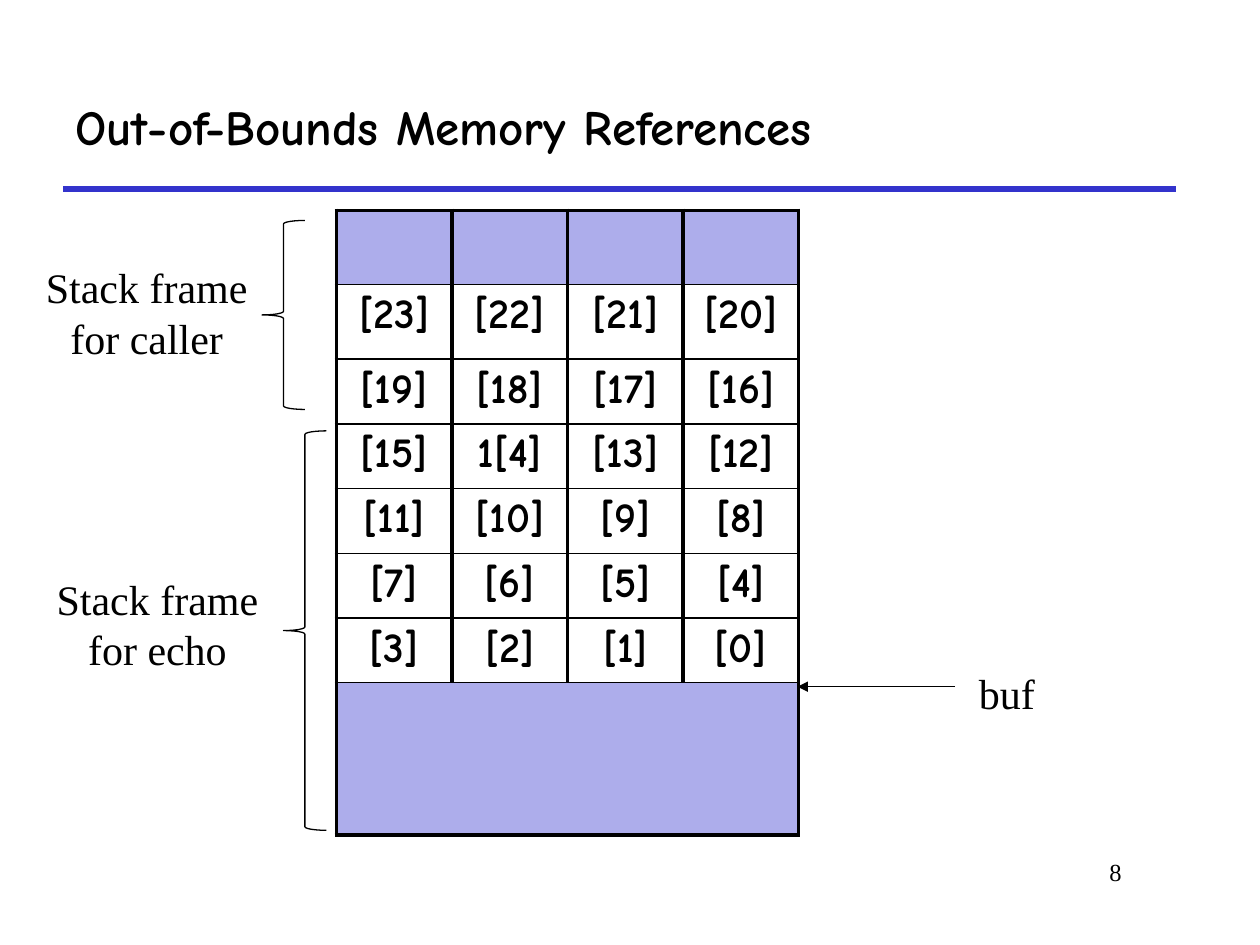
"""Build a slide showing stack memory around an echo buffer."""
from lxml.etree import SubElement
from pptx import Presentation
from pptx.dml.color import RGBColor
from pptx.enum.shapes import MSO_CONNECTOR, MSO_SHAPE
from pptx.enum.text import MSO_ANCHOR, PP_ALIGN
from pptx.oxml.ns import qn
from pptx.util import Inches, Pt

BLACK = RGBColor(0x00, 0x00, 0x00)
WHITE = RGBColor(0xFF, 0xFF, 0xFF)
RULE_BLUE = RGBColor(0x33, 0x33, 0xCC)
LAVENDER = RGBColor(0xAD, 0xAD, 0xEB)

TITLE_FONT = {"name": "Comic Neue", "size": Pt(28), "bold": True}
CELL_FONT = {"name": "Comic Neue", "size": Pt(24), "bold": True}
LABEL_FONT = {"name": "Times New Roman", "size": Pt(24)}
NUMBER_FONT = {"name": "Times New Roman", "size": Pt(14)}

TEXTS = [
    (["Out-of-Bounds Memory References"], (0.5, 0.5, 9.08, 1), TITLE_FONT, PP_ALIGN.LEFT, MSO_ANCHOR.MIDDLE),
    (["Stack frame", "for caller"], (0.25, 2.03, 1.83, 0.99), LABEL_FONT, PP_ALIGN.CENTER, MSO_ANCHOR.TOP),
    (["Stack frame", "for echo"], (0.25, 4.5, 2, 0.99), LABEL_FONT, PP_ALIGN.CENTER, MSO_ANCHOR.TOP),
    (["buf"], (7.67, 5.25, 0.65, 0.5), LABEL_FONT, PP_ALIGN.LEFT, MSO_ANCHOR.TOP),
    (["8"], (7.58, 6.75, 1.42, 0.5), NUMBER_FONT, PP_ALIGN.RIGHT, MSO_ANCHOR.TOP),
]
BRACES = [(2.08, 1.75, 0.34, 1.5), (2.25, 3.42, 0.34, 3.17)]
MEMORY = [
    ["", "", "", ""],
    ["[23]", "[22]", "[21]", "[20]"],
    ["[19]", "[18]", "[17]", "[16]"],
    ["[15]", "1[4]", "[13]", "[12]"],
    ["[11]", "[10]", "[9]", "[8]"],
    ["[7]", "[6]", "[5]", "[4]"],
    ["[3]", "[2]", "[1]", "[0]"],
    ["", "", "", ""],
]
TABLE_AREA = (2.67, 1.67, 3.67, 4.97)
ROW_HEIGHTS = [0.59, 0.59] + [2.57 / 5] * 5 + [1.21]


def style_font(font, values):
    for name, value in values.items():
        setattr(font, name, value)
    font.color.rgb = BLACK


def add_text(slide, lines, area, font, alignment, anchor):
    frame = slide.shapes.add_textbox(*map(Inches, area)).text_frame
    frame.word_wrap = len(lines) > 1 or alignment != PP_ALIGN.LEFT
    frame.vertical_anchor = anchor
    frame.text = "\n".join(lines)
    for para in frame.paragraphs:
        para.alignment = alignment
        for span in para.runs:
            style_font(span.font, font)


def add_line(slide, start, end, color, width):
    line = slide.shapes.add_connector(MSO_CONNECTOR.STRAIGHT, *map(Inches, start + end))
    line.line.color.rgb = color
    line.line.width = Pt(width)
    SubElement(line._element.spPr, qn("a:effectLst"))
    return line


def add_brace(slide, area):
    brace = slide.shapes.add_shape(MSO_SHAPE.LEFT_BRACE, *map(Inches, area))
    brace.shadow.inherit = False
    brace.fill.background()
    brace.line.color.rgb = BLACK
    brace.line.width = Pt(0.75)
    brace.adjustments[0] = 0.083


def set_borders(cell, widths):
    properties = cell._tc.get_or_add_tcPr()
    for side, width in widths.items():
        border = SubElement(properties, qn(f"a:ln{side}"), w=str(Pt(width)))
        fill = SubElement(border, qn("a:solidFill"))
        SubElement(fill, qn("a:srgbClr"), val=str(BLACK))


def add_memory_table(slide):
    last = len(MEMORY) - 1
    table = slide.shapes.add_table(len(MEMORY), len(MEMORY[0]), *map(Inches, TABLE_AREA)).table
    table.first_row = table.horz_banding = False
    for row, height in zip(table.rows, ROW_HEIGHTS):
        row.height = Inches(height)
    for row_index, labels in enumerate(MEMORY):
        for column_index, label in enumerate(labels):
            cell = table.cell(row_index, column_index)
            set_borders(cell, {
                "L": 2.25,
                "R": 2.25,
                "T": 2.25 if row_index == 0 else 1,
                "B": 2.25 if row_index == last else 1,
            })
            cell.fill.solid()
            cell.fill.fore_color.rgb = WHITE if label else LAVENDER
            if label:
                para = cell.text_frame.paragraphs[0]
                para.alignment = PP_ALIGN.CENTER
                span = para.add_run()
                span.text = label
                style_font(span.font, CELL_FONT)
    table.cell(last, 0).merge(table.cell(last, len(MEMORY[0]) - 1))


def main():
    deck = Presentation()
    deck.slide_width, deck.slide_height = Inches(10), Inches(7.5)
    slide = deck.slides.add_slide(deck.slide_layouts[6])
    add_line(slide, (0.5, 1.5), (9.33, 1.5), RULE_BLUE, 3)
    add_memory_table(slide)
    pointer = add_line(slide, (7.58, 5.45), (6.33, 5.45), BLACK, 0.75)
    SubElement(pointer.line._get_or_add_ln(), qn("a:tailEnd"), type="triangle")
    for area in BRACES:
        add_brace(slide, area)
    for text in TEXTS:
        add_text(slide, *text)
    deck.save("out.pptx")


if __name__ == "__main__":
    main()
